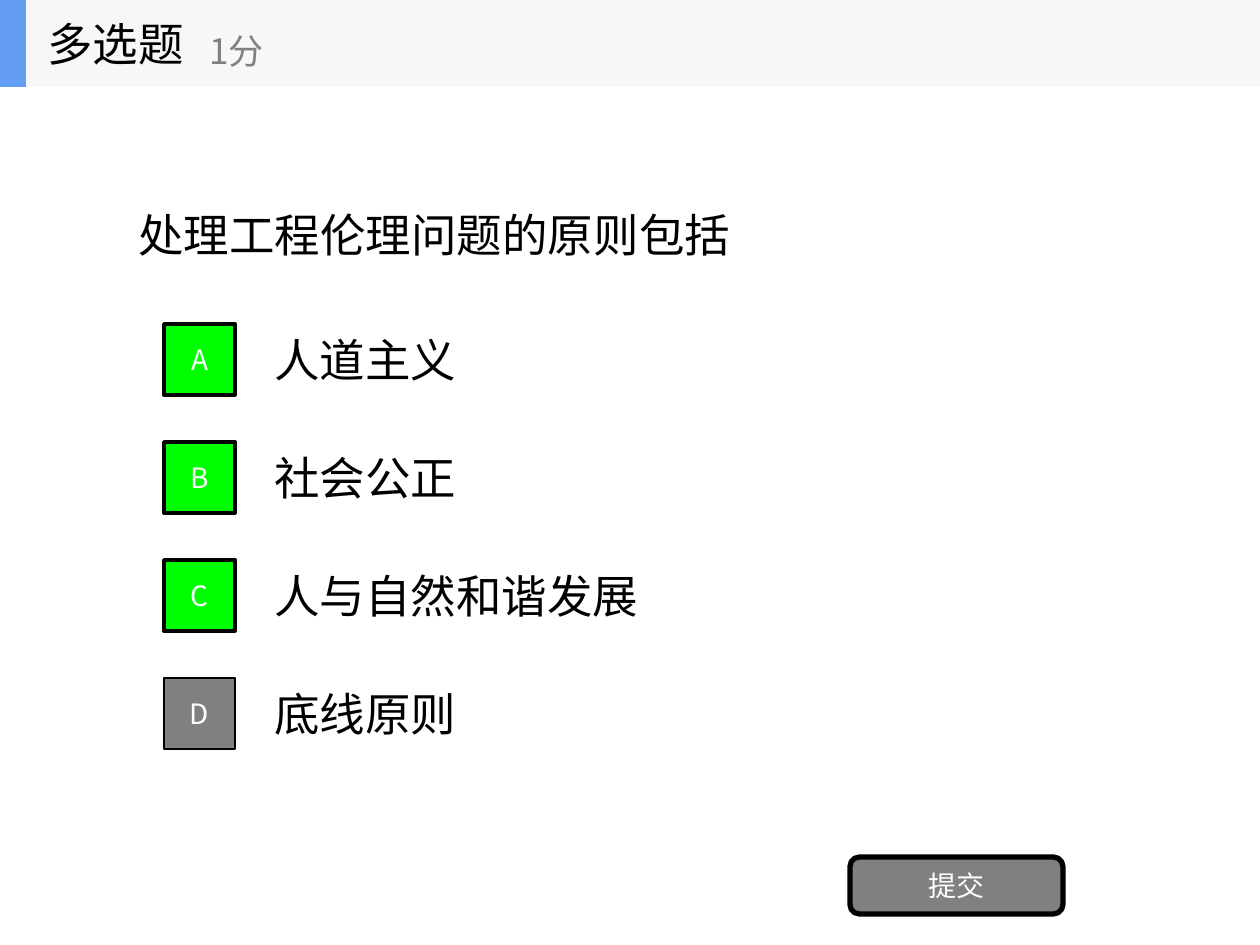
import lxml.etree
import pptx
import pptx.dml.color
import pptx.enum.shapes
import pptx.enum.text
import pptx.oxml.ns
import pptx.util

FONT = "Noto Sans CJK SC"
PX_PER_INCH = 126
BLACK, WHITE, GREY = "000000", "FFFFFF", "808080"
GREEN, BLUE, PALE = "00FF00", "639EF4", "F6F7F8"
RECTANGLE = pptx.enum.shapes.MSO_SHAPE.RECTANGLE
ROUNDED = pptx.enum.shapes.MSO_SHAPE.ROUNDED_RECTANGLE
OPTIONS = [
    ("A", "人道主义", True),
    ("B", "社会公正", True),
    ("C", "人与自然和谐发展", True),
    ("D", "底线原则", False),
]


def emu(*pixels):
    """Turn pixel lengths into EMU."""
    return [round(value * 914400 / PX_PER_INCH) for value in pixels]


def color(value):
    """Turn a hex string into a colour."""
    return pptx.dml.color.RGBColor.from_string(value)


def set_text(shape, text, size, text_color, centered=False, wrap=True):
    """Write one vertically centred line of text into a shape."""
    text_frame = shape.text_frame
    text_frame.text = text
    text_frame.word_wrap = wrap
    text_frame.vertical_anchor = pptx.enum.text.MSO_ANCHOR.MIDDLE
    paragraph = text_frame.paragraphs[0]
    alignment = pptx.enum.text.PP_ALIGN
    paragraph.alignment = alignment.CENTER if centered else alignment.LEFT
    for run in paragraph.runs:
        run.font.size = pptx.util.Pt(size)
        run.font.name = FONT
        run.font.color.rgb = color(text_color)
        east_asian = lxml.etree.SubElement(run.font._element, pptx.oxml.ns.qn("a:ea"))
        east_asian.set("typeface", FONT)


def add_label(shapes, box, text, size=26, text_color=BLACK, wrap=True):
    """Add a left-aligned text box."""
    set_text(shapes.add_textbox(*emu(*box)), text, size, text_color, wrap=wrap)


def add_block(shapes, box, fill, kind=RECTANGLE, line_width=0, text=""):
    """Add a filled shape with an optional black outline and centred text."""
    shape = shapes.add_shape(kind, *emu(*box))
    shape.shadow.inherit = False
    shape.fill.solid()
    shape.fill.fore_color.rgb = color(fill)
    if line_width:
        shape.line.color.rgb = color(BLACK)
        shape.line.width = pptx.util.Pt(line_width)
    else:
        shape.line.fill.background()
    if text:
        set_text(shape, text, 16, WHITE, centered=True)


def add_header(slide, left, top, width, height):
    """Add the grouped title bar with question type and score."""
    shapes = slide.shapes.add_group_shape().shapes
    add_block(shapes, (left, top, width, height), PALE)
    add_block(shapes, (left, top, 26, height), BLUE)
    add_label(shapes, (left + 35, top, 262, height), "多选题", wrap=False)
    add_label(shapes, (left + 197, top + 15, 315, 71), "1分", 20, GREY, wrap=False)


def add_options(slide, left, top, width, row_height, pitch):
    """Add one row per answer, with its letter badge and wording."""
    badge, text_offset = 71, 98
    for index, (letter, wording, chosen) in enumerate(OPTIONS):
        row_top = top + index * pitch
        text_box = (left + text_offset, row_top, width - text_offset, row_height)
        add_label(slide.shapes, text_box, wording)
        badge_box = (left, row_top + (row_height - badge) // 2 + 1, badge, badge)
        fill, line_width = (GREEN, 2) if chosen else (GREY, 1)
        add_block(slide.shapes, badge_box, fill, line_width=line_width, text=letter)


def main():
    """Build and save the quiz slide."""
    presentation = pptx.Presentation()
    presentation.slide_width, presentation.slide_height = emu(1260, 945)
    slide = presentation.slides.add_slide(presentation.slide_layouts[6])
    add_label(slide.shapes, (126, 87, 1008, 295), "处理工程伦理问题的原则包括")
    add_options(slide, 164, 315, 980, 88, 118)
    add_block(slide.shapes, (850, 857, 213, 57), GREY, ROUNDED, 3, "提交")
    add_header(slide, 0, 0, 1260, 87)
    presentation.save("out.pptx")


if __name__ == "__main__":
    main()
